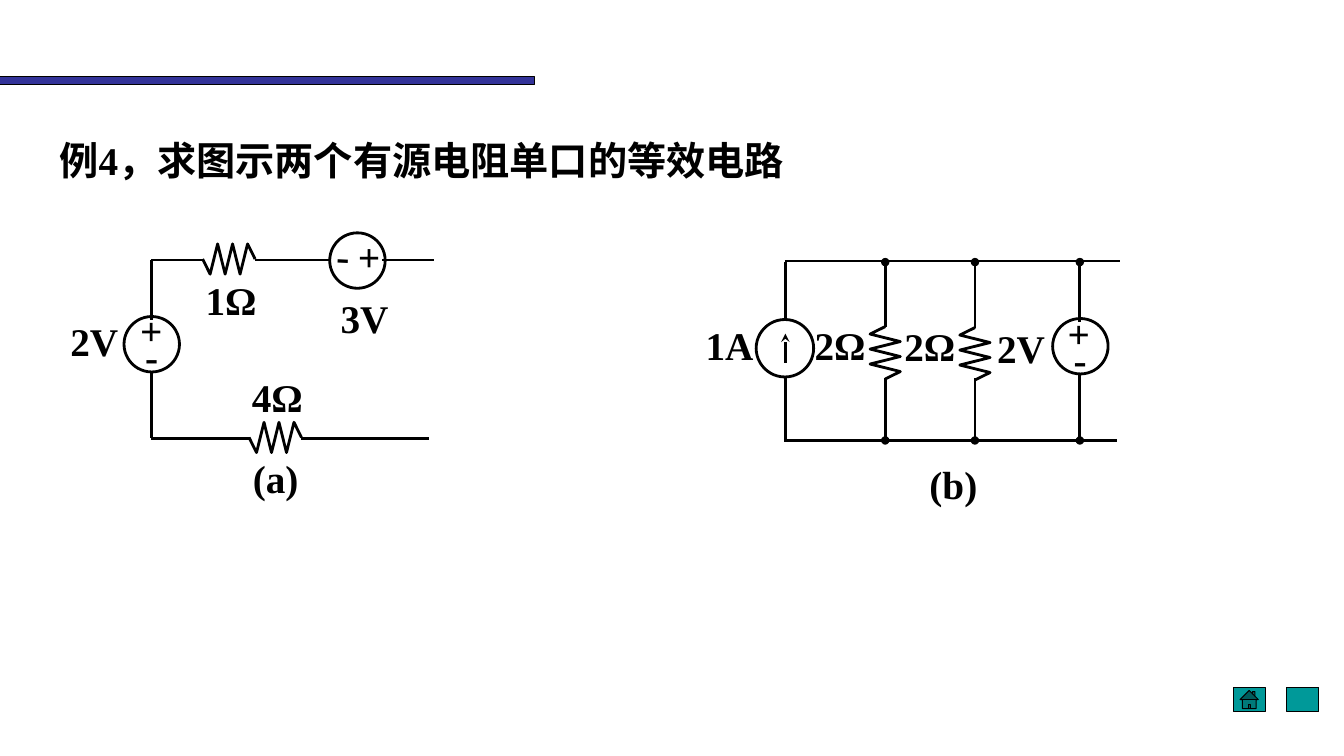
from lxml.etree import SubElement
from pptx import Presentation
from pptx.dml.color import RGBColor
from pptx.enum.lang import MSO_LANGUAGE_ID
from pptx.enum.shapes import MSO_CONNECTOR, MSO_SHAPE
from pptx.enum.text import MSO_ANCHOR, MSO_AUTO_SIZE, PP_ALIGN
from pptx.oxml.ns import qn
from pptx.util import Inches, Pt

COLORS = {"ink": "000000", "bar": "333399", "button": "009999"}
ROWS = 75
INK = RGBColor.from_string(COLORS["ink"])

deck = Presentation()
deck.slide_width, deck.slide_height = Inches(13.33), Inches(7.5)
cell = deck.slide_height / ROWS
page = deck.slides.add_slide(deck.slide_layouts[5])


def grid(*values):
    return [round(value * cell) for value in values]


def write(text, left=0, top=0, width=0, height=5.7, box=None, rotation=0,
          inset=(1, 0.5), wrap=True, language=MSO_LANGUAGE_ID.ENGLISH_US):
    place = grid(left, top, width, height)
    box = box or page.shapes.add_textbox(*place)
    box.left, box.top, box.width, box.height = place
    box.rotation = rotation
    frame = box.text_frame
    frame.word_wrap = wrap
    frame.auto_size = MSO_AUTO_SIZE.NONE
    frame.vertical_anchor = MSO_ANCHOR.TOP
    frame.margin_left, frame.margin_top = grid(*inset)
    frame.margin_right, frame.margin_bottom = grid(*inset)
    para = frame.paragraphs[0]
    para.alignment = PP_ALIGN.LEFT
    span = para.add_run()
    span.text = text
    span.font.name = "Times New Roman"
    span.font.size = Pt(28)
    span.font.bold = True
    span.font.color.rgb = INK
    span.font.language_id = language


for preset, color, place in [
    (MSO_SHAPE.RECTANGLE, "bar", (0, 7.6, 53, 0.8)),
    (MSO_SHAPE.ACTION_BUTTON_HOME, "button", (122.3, 68.2, 3.2, 2.4)),
    (MSO_SHAPE.ACTION_BUTTON_CUSTOM, "button", (127.6, 68.2, 3.2, 2.4)),
]:
    ornament = page.shapes.add_shape(preset, *grid(*place))
    ornament.shadow.inherit = False
    ornament.fill.solid()
    ornament.fill.fore_color.rgb = RGBColor.from_string(COLORS[color])
    ornament.line.color.rgb = INK
    ornament.line.width = Pt(0.75)

write("例4，求图示两个有源电阻单口的等效电路", 5.9, 13.5, 78, 4.7,
      box=page.shapes.title, inset=(0, 0),
      language=MSO_LANGUAGE_ID.SIMPLIFIED_CHINESE)

for text, left, top, width in [
    ("2V", 6, 31, 9.2), ("1Ω", 19.4, 26.9, 10.1), ("3V", 32.8, 28.7, 12),
    ("4Ω", 24, 36.5, 10.1), ("1A", 69, 31.4, 7.5), ("2Ω", 79.8, 31.4, 9.9),
    ("2Ω", 88.7, 31.5, 9.9), ("2V", 97.9, 31.7, 9.2), ("(b)", 91.2, 45.2, 8.9),
    ("+", 12.9, 29.9, 5.9), ("-", 13.4, 32.5, 5.2),
    ("+", 104.9, 30.2, 5.9), ("-", 105.5, 32.8, 5.2),
]:
    write(text, left, top, width)
write("(a)", 24.1, 44.6, 6.6, wrap=False)
write("+", 33.9, 23.7, 5.9, rotation=90)
write("-", 32.4, 22.5, 5.2, rotation=2.8)

outlines = []
for middle, centre, radius in [
    (15.05, 34.15, 2.75), (35.45, 25.85, 2.75),
    (77.85, 34.55, 2.85), (107.15, 34.35, 2.75),
]:
    outlines.append(page.shapes.add_shape(
        MSO_SHAPE.OVAL,
        *grid(middle - radius, centre - radius, 2 * radius, 2 * radius)))

resistor_length, swing, segments = 5.2, 1.5, 7
for left, top, upright in [
    (20.1, 25.7, False), (24.7, 43.4, False),
    (87.8, 32.4, True), (96.7, 32.5, True),
]:
    corners = []
    for step in range(segments + 1):
        along = resistor_length * step / segments
        across = 0 if step in (0, segments) else swing * (-1) ** (step + 1)
        corners.append(grid(left - across, top + along) if upright
                       else grid(left + along, top + across))
    zigzag = page.shapes.build_freeform(*corners[0])
    zigzag.add_line_segments(corners[1:], close=False)
    outlines.append(zigzag.convert_to_shape())

for outline in outlines:
    outline.shadow.inherit = False
    outline.fill.background()
    outline.line.color.rgb = INK
    outline.line.width = Pt(2)

wires = [
    (15, 25.8, 20.1, 25.8, None), (25.3, 25.8, 32.8, 25.8, None),
    (37.9, 25.8, 43, 25.8, None), (15, 31.7, 15, 25.8, None),
    (15, 36.8, 15, 43.5, None), (15, 43.5, 24.8, 43.5, None),
    (29.9, 43.5, 42.5, 43.5, None),
    (77.9, 25.9, 111.1, 25.9, None), (77.8, 43.7, 110.8, 43.7, None),
    (77.9, 26, 77.9, 31.6, None), (77.9, 37.4, 77.9, 43.8, None),
    (77.9, 36, 77.9, 33.1, "stealth"),
]
for middle, upper, lower in [
    (87.8, 32.4, 37.5), (96.7, 32.5, 37.5), (107.1, 31.9, 37),
]:
    wires += [(middle, upper, middle, 26, "oval"),
              (middle, lower, middle, 43.7, "oval")]

for *ends, tail in wires:
    wire = page.shapes.add_connector(MSO_CONNECTOR.STRAIGHT, *grid(*ends))
    wire.line.color.rgb = INK
    wire.line.width = Pt(2)
    if tail:
        SubElement(wire.line._get_or_add_ln(), qn("a:tailEnd"), type=tail)
    SubElement(wire._element.spPr, qn("a:effectLst"))

deck.save("out.pptx")
